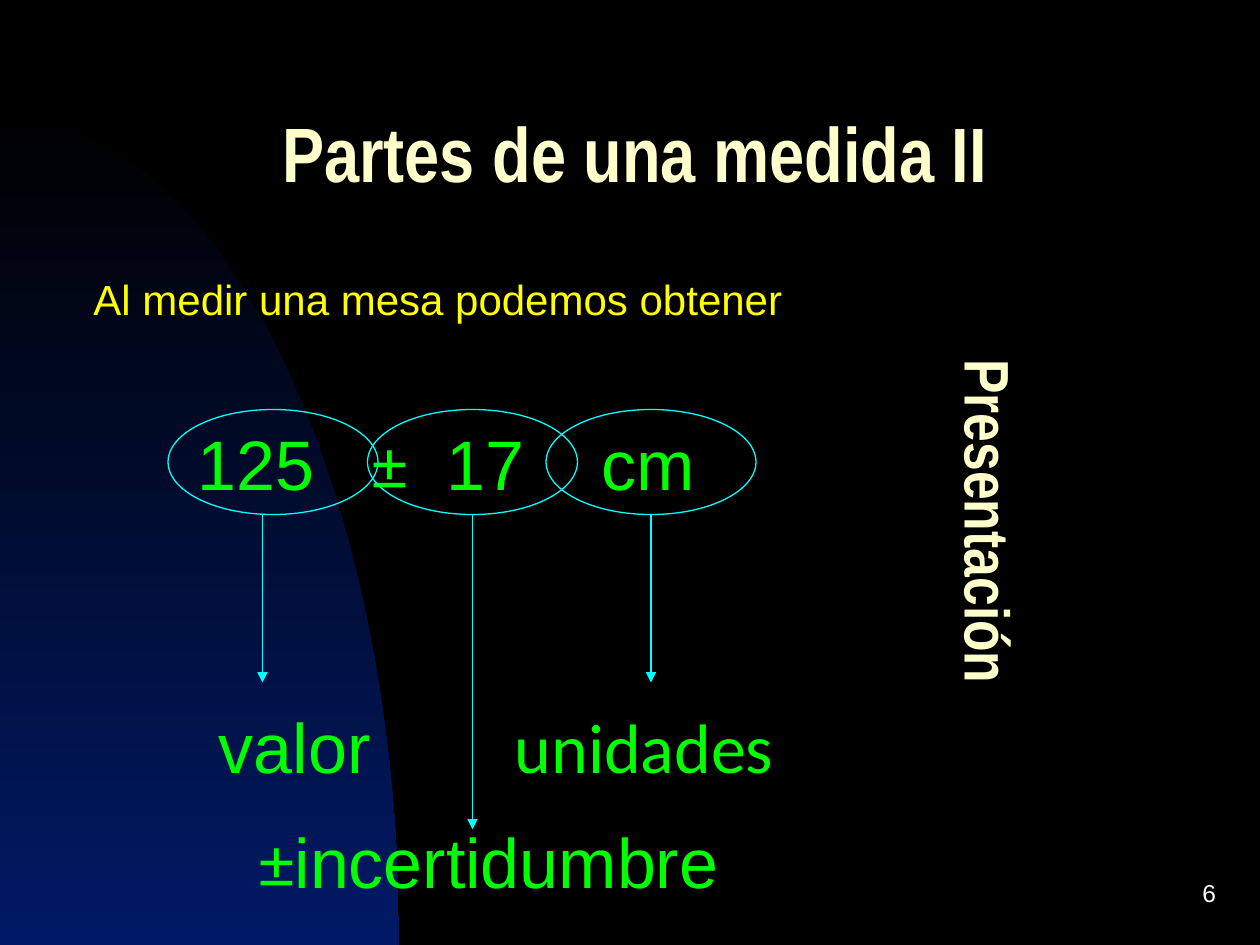
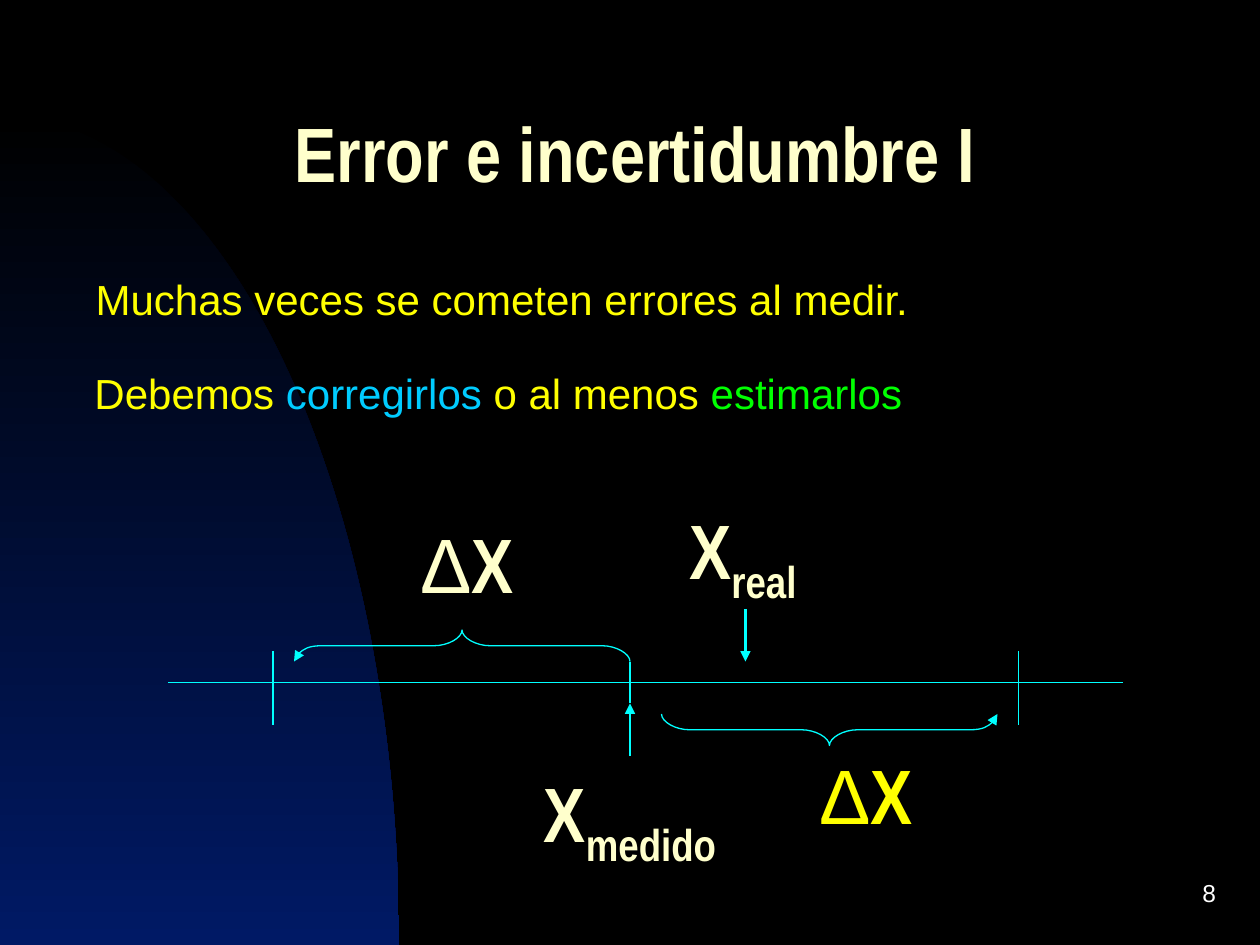
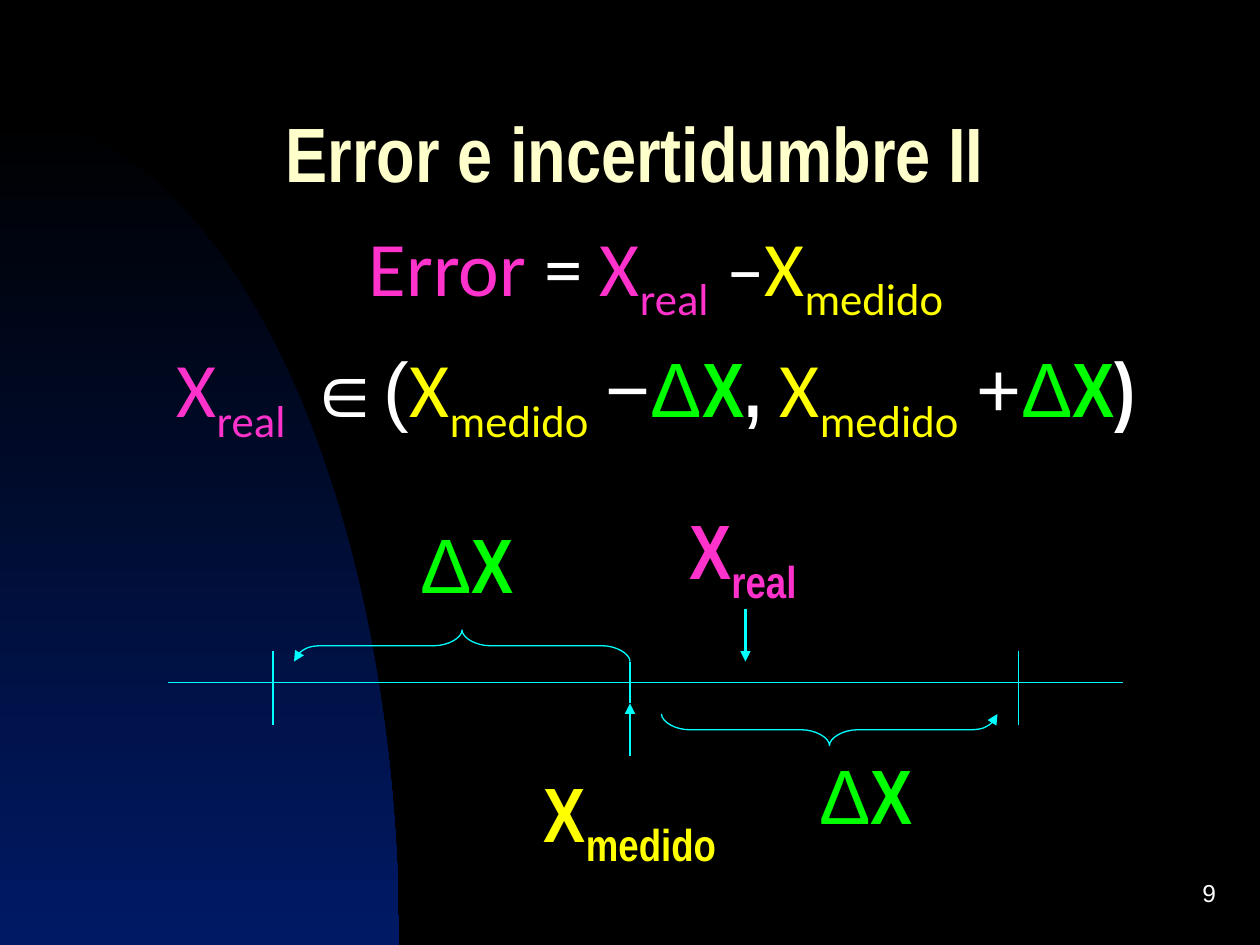
from dataclasses import dataclass
from typing import NamedTuple

from lxml import etree
from pptx import Presentation
from pptx.dml.color import RGBColor
from pptx.enum.shapes import MSO_CONNECTOR, MSO_SHAPE
from pptx.enum.text import MSO_ANCHOR, MSO_AUTO_SIZE, PP_ALIGN
from pptx.oxml.ns import qn
from pptx.util import Pt

LEFT, CENTER, RIGHT = PP_ALIGN.LEFT, PP_ALIGN.CENTER, PP_ALIGN.RIGHT
TOP, MIDDLE = MSO_ANCHOR.TOP, MSO_ANCHOR.MIDDLE
GROW, FIXED = MSO_AUTO_SIZE.SHAPE_TO_FIT_TEXT, MSO_AUTO_SIZE.NONE
STRAIGHT = MSO_CONNECTOR.STRAIGHT
OVAL, ARC = MSO_SHAPE.OVAL, MSO_SHAPE.ARC
TITLE_ONLY = 5


@dataclass(frozen=True)
class Theme:
    black: RGBColor = RGBColor.from_string("000000")
    blue: RGBColor = RGBColor.from_string("0033CC")
    cream: RGBColor = RGBColor.from_string("FFFFCC")
    yellow: RGBColor = RGBColor.from_string("FFFF00")
    green: RGBColor = RGBColor.from_string("00FF00")
    cyan: RGBColor = RGBColor.from_string("00FFFF")
    sky: RGBColor = RGBColor.from_string("00CCFF")
    pink: RGBColor = RGBColor.from_string("FF33CC")
    white: RGBColor = RGBColor.from_string("FFFFFF")
    sans: str = "Arial"
    narrow: str = "Arial Narrow"
    humanist: str = "Calibri"
    heading: int = 44
    measure: int = 40
    side: int = 36
    lead: int = 24
    number: int = 14
    thin: float = 0.75
    thick: float = 1.5
    tight: float = 0.7


THEME = Theme()


class Box(NamedTuple):
    left: float
    top: float
    width: float
    height: float


class Insets(NamedTuple):
    left: float = 7.2
    top: float = 3.6
    right: float = 7.2
    bottom: float = 3.6


class Span(NamedTuple):
    text: str
    color: RGBColor
    font: str = THEME.sans
    bold: bool = False
    sub: bool = False


class Line(NamedTuple):
    x1: float
    y1: float
    x2: float
    y2: float
    weight: float = THEME.thin
    arrow: bool = False


class Part(NamedTuple):
    oval_left: float
    arrow: Line
    box: Box
    indent: float
    spans: list[Span]


Point = tuple[float, float]
FLUSH = Insets(0, 0, 0, 0)
SLIDE = Box(0, 0, 720, 540)
TITLE_BOX = Box(30, 48, 666, 90)
NUMBER_BOX = Box(552, 492, 150, 36)
HILL_BOX = Box(-228, 66, 456, 948)


def write(frame, paragraphs: list[list[Span]], *, size: float, align=LEFT,
          anchor=TOP, fit=GROW, insets: Insets = Insets(), spacing: float = 1.0,
          gap: float = 0, tabs: tuple[float, ...] = (), vertical: bool = False) -> None:
    frame.word_wrap = True
    frame.auto_size = fit
    frame.vertical_anchor = anchor
    frame.margin_left, frame.margin_top = Pt(insets.left), Pt(insets.top)
    frame.margin_right, frame.margin_bottom = Pt(insets.right), Pt(insets.bottom)
    if vertical:
        frame._txBody.bodyPr.set("vert", "eaVert")
    for index, spans in enumerate(paragraphs):
        paragraph = frame.add_paragraph() if index else frame.paragraphs[0]
        if tabs:
            stops = etree.SubElement(paragraph._p.get_or_add_pPr(), qn("a:tabLst"))
            for tab in tabs:
                etree.SubElement(stops, qn("a:tab"), pos=str(Pt(tab)), algn="l")
        paragraph.alignment = align
        paragraph.line_spacing = spacing
        paragraph.space_before = Pt(gap if index else 0)
        for span in spans:
            run = paragraph.add_run()
            run.text = span.text
            run.font.size = Pt(size)
            run.font.name = span.font
            run.font.bold = span.bold
            run.font.color.rgb = span.color
            if span.sub:
                run._r.get_or_add_rPr().set("baseline", "-25000")


def add_text(slide, box: Box, *paragraphs: list[Span], **style) -> None:
    label = slide.shapes.add_textbox(*map(Pt, box))
    write(label.text_frame, list(paragraphs), **style)


def add_arrowhead(line) -> None:
    etree.SubElement(line._get_or_add_ln(), qn("a:tailEnd"), type="triangle")


def add_line(slide, line: Line) -> None:
    connector = slide.shapes.add_connector(STRAIGHT, *map(Pt, line[:4]))
    connector.line.color.rgb = THEME.cyan
    connector.line.width = Pt(line.weight)
    if line.arrow:
        add_arrowhead(connector.line)
    etree.SubElement(connector._element.spPr, qn("a:effectLst"))


def outline(shape) -> None:
    shape.shadow.inherit = False
    shape.fill.background()
    shape.line.color.rgb = THEME.cyan
    shape.line.width = Pt(THEME.thin)


def bend_corners(shape, curve_starts: tuple[int, ...]) -> None:
    segments = list(shape._element.iter(qn("a:lnTo")))
    for start in curve_starts:
        curve = etree.Element(qn("a:cubicBezTo"))
        segments[start].addprevious(curve)
        for segment in segments[start:start + 3]:
            curve.append(segment[0])
            segment.getparent().remove(segment)


def add_brace(slide, left: float, top: float, rotation: float) -> None:
    width, length, bend = 18, 192, 16
    spine, tip = width / 2, length / 2
    half: list[Point] = [
        (width, 0), (width - spine / 2, 0), (spine, bend / 2), (spine, bend),
        (spine, tip - bend), (spine, tip - bend / 2), (spine / 2, tip), (0, tip),
    ]
    mirrored = [(x, length - y) for x, y in reversed(half[:-1])]
    corners = [(Pt(x), Pt(y)) for x, y in half + mirrored]
    builder = slide.shapes.build_freeform(*corners[0], scale=1.0)
    builder.add_line_segments(corners[1:], close=False)
    brace = builder.convert_to_shape(Pt(left), Pt(top))
    bend_corners(brace, (0, 4, 7, 11))
    brace.rotation = rotation
    outline(brace)
    add_arrowhead(brace.line)


def set_backdrop(master, slide) -> None:
    master.background.fill.solid()
    master.background.fill.fore_color.rgb = THEME.black
    hill = slide.shapes.add_shape(ARC, *map(Pt, HILL_BOX))
    hill.shadow.inherit = False
    hill.line.fill.background()
    hill.fill.gradient()
    hill.fill.gradient_angle = 270
    for stop, color in zip(hill.fill.gradient_stops, (THEME.black, THEME.blue)):
        stop.color.rgb = color
    master.shapes.element.insert(2, hill._element)


def start_slide(deck, title: str, number: int):
    slide = deck.slides.add_slide(deck.slide_layouts[TITLE_ONLY])
    heading = slide.shapes.title
    heading.left, heading.top, heading.width, heading.height = map(Pt, TITLE_BOX)
    write(heading.text_frame, [[Span(title, THEME.cream, THEME.narrow, True)]],
          size=THEME.heading, align=CENTER, anchor=MIDDLE, fit=FIXED,
          spacing=THEME.tight)
    add_text(slide, NUMBER_BOX, [Span(str(number), THEME.white)],
             size=THEME.number, align=RIGHT, anchor=MIDDLE, fit=FIXED)
    return slide


def delta(color: RGBColor) -> list[Span]:
    return [Span("Δ", color), Span("X", color, THEME.narrow, True)]


def quantity(subscript: str, color: RGBColor, font: str = THEME.humanist,
             bold: bool = False) -> list[Span]:
    return [Span("X", color, font, bold), Span(subscript, color, font, bold, True)]


def add_number_line(slide, *, real: RGBColor, measured: RGBColor,
                    delta_left: RGBColor, delta_right: RGBColor) -> None:
    axis, center = 390, 360
    for line in (
        Line(96, axis, 642, axis),
        Line(center, axis - 12, center, axis + 12, THEME.thick),
        Line(center, 432, center, axis + 12, THEME.thick, True),
        Line(426, 348, 426, axis - 12, THEME.thick, True),
        Line(156, 372, 156, 414),
        Line(582, 372, 582, 414),
    ):
        add_line(slide, line)
    add_brace(slide, 255, 273, 90)
    add_brace(slide, 465, 321, 270)
    for box, spans in (
        (Box(295.5, 444, 129, 50), quantity("medido", measured, THEME.narrow, True)),
        (Box(360, 294, 129, 50), quantity("real", real, THEME.narrow, True)),
        (Box(228, 306, 78, 44), delta(delta_left)),
        (Box(456, 438, 78, 44), delta(delta_right)),
    ):
        add_text(slide, box, spans, size=THEME.heading, align=CENTER,
                 spacing=THEME.tight)


def fill_parts(slide) -> None:
    green = THEME.green
    add_text(slide, Box(48, 156, 468, 29),
             [Span("Al medir una mesa podemos obtener", THEME.yellow)],
             size=THEME.lead, insets=FLUSH._replace(left=5.4))
    add_text(slide, Box(102, 240, 354, 48),
             [Span("125\t", green), Span("±\t", green, THEME.humanist),
              Span("17\tcm", green)],
             size=THEME.measure, insets=FLUSH._replace(left=11.1),
             tabs=(100, 142.3, 230.7))
    for part in (
        Part(96, Line(150, 294, 150, 390, arrow=True), Box(114, 402, 114, 96),
             11.1, [Span("valor", green)]),
        Part(210, Line(270, 294, 270, 474, arrow=True), Box(148.4, 468, 276.5, 48),
             0, [Span("±", green, THEME.humanist), Span("incertidumbre", green)]),
        Part(312, Line(372, 294, 372, 390, arrow=True), Box(276, 402, 198, 48),
             18.1, [Span("unidades", green, THEME.humanist)]),
    ):
        outline(slide.shapes.add_shape(OVAL, *map(Pt, (part.oval_left, 234, 120, 60))))
        add_line(slide, part.arrow)
        add_text(slide, part.box, part.spans, size=THEME.measure,
                 insets=FLUSH._replace(left=part.indent))
    add_text(slide, Box(534, 198, 45, 306),
             [Span("Presentación", THEME.cream, THEME.narrow, True)],
             size=THEME.side, align=CENTER, spacing=THEME.tight,
             insets=Insets(3.6, 7.2, 3.6, 7.2), vertical=True)


def fill_error_intro(slide) -> None:
    yellow = THEME.yellow
    add_text(slide, Box(48, 156, 534, 29),
             [Span("Muchas veces se cometen errores al medir.", yellow)],
             size=THEME.lead, insets=FLUSH._replace(left=6.67))
    add_text(slide, Box(54, 210, 534, 29),
             [Span("Debemos ", yellow), Span("corregirlos ", THEME.sky),
              Span("o al menos ", yellow), Span("estimarlos", THEME.green)],
             size=THEME.lead, insets=FLUSH)
    add_number_line(slide, real=THEME.cream, measured=THEME.cream,
                    delta_left=THEME.cream, delta_right=yellow)


def fill_error_formula(slide) -> None:
    pink, yellow, green, white = THEME.pink, THEME.yellow, THEME.green, THEME.white
    add_number_line(slide, real=pink, measured=yellow,
                    delta_left=green, delta_right=green)
    space = Span(" ", white, THEME.humanist)
    definition = [
        Span("Error ", pink, THEME.humanist), Span("= ", white, THEME.humanist),
        *quantity("real", pink), Span(" –", white, THEME.humanist),
        *quantity("medido", yellow),
    ]
    interval = [
        *quantity("real", pink), Span(" ∈(", white),
        *quantity("medido", yellow), space, Span("−", white), *delta(green),
        Span(", ", white, THEME.narrow, True),
        *quantity("medido", yellow), space, Span("+", white), *delta(green),
        Span(")", white, THEME.narrow, True),
    ]
    add_text(slide, Box(54, 132, 642, 183.6), definition, interval,
             size=THEME.heading, align=CENTER, spacing=THEME.tight, gap=27.5)


def main() -> None:
    deck = Presentation()
    deck.slide_width, deck.slide_height = Pt(SLIDE.width), Pt(SLIDE.height)
    parts = start_slide(deck, "Partes de una medida II", 6)
    set_backdrop(deck.slide_master, parts)
    fill_parts(parts)
    fill_error_intro(start_slide(deck, "Error e incertidumbre I", 8))
    fill_error_formula(start_slide(deck, "Error e incertidumbre II", 9))
    deck.save("out.pptx")


if __name__ == "__main__":
    main()
